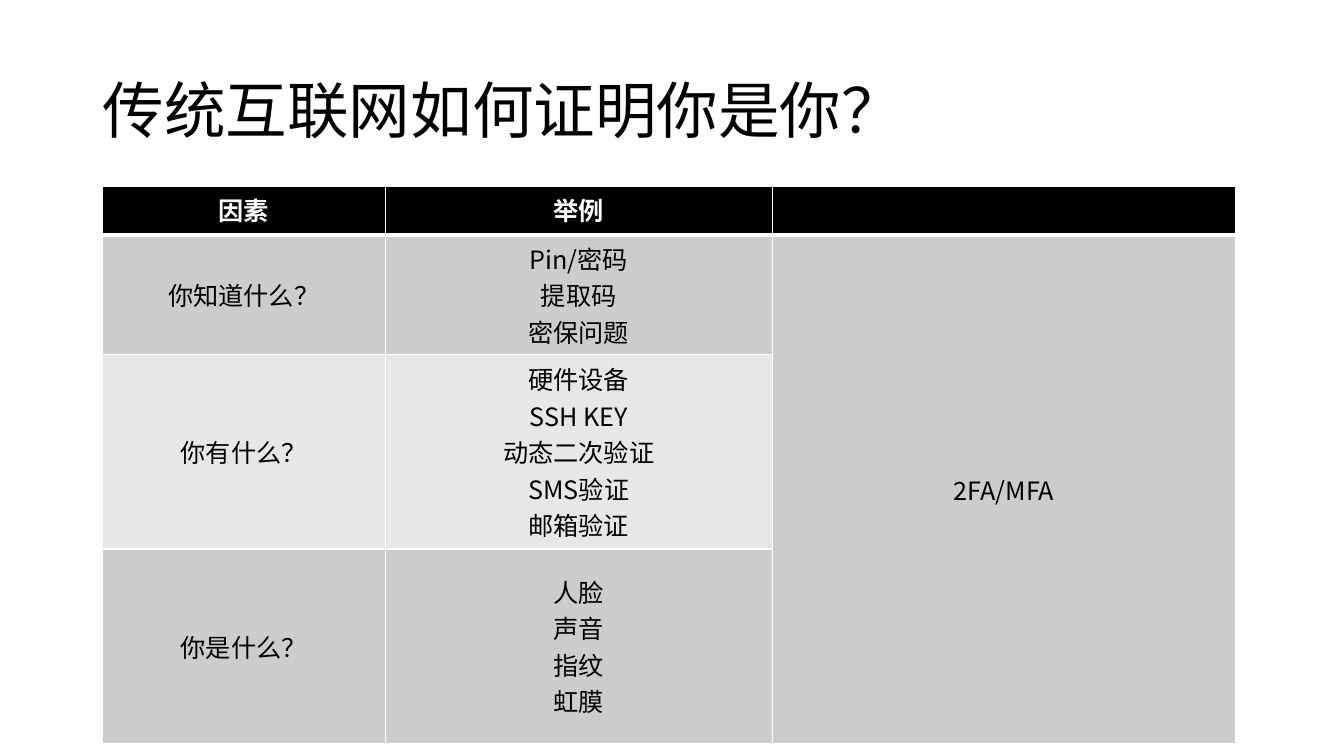
from lxml.etree import SubElement
from pptx import Presentation
from pptx.dml.color import RGBColor
from pptx.enum.text import MSO_ANCHOR as Anchor, PP_ALIGN as Align
from pptx.oxml.ns import qn
from pptx.util import Cm, Pt

# Content
TITLE = "传统互联网如何证明你是你？"
HEADER = ["因素", "举例", ""]
FACTORS = [
    ("你知道什么？", ["Pin/密码", "提取码", "密保问题"]),
    ("你有什么？", ["硬件设备", "SSH KEY", "动态二次验证", "SMS验证", "邮箱验证"]),
    ("你是什么？", ["人脸", "声音", "指纹", "虹膜"]),
]
SUMMARY = "2FA/MFA"

# Look
FONT = "Noto Sans CJK SC"
BLACK = RGBColor(0x00, 0x00, 0x00)
WHITE = RGBColor(0xFF, 0xFF, 0xFF)
DARK_BAND = RGBColor(0xCC, 0xCC, 0xCC)
LIGHT_BAND = RGBColor(0xE7, 0xE7, 0xE7)
COLUMN_WIDTHS = [Cm(7.14), Cm(9.75), Cm(11.68)]
ROW_HEIGHTS = [Cm(1.22), Cm(1.24), Cm(4.9), Cm(4.9)]


def write(frame, lines, size=18, color=BLACK, bold=False, align=Align.CENTER, spacing=None):
    """Fill a text frame with one paragraph per line."""
    for index, line in enumerate(lines):
        para = frame.paragraphs[0] if index == 0 else frame.add_paragraph()
        para.alignment = align
        if spacing:
            para.line_spacing = spacing
        span = para.add_run()
        span.text = line
        span.font.size = Pt(size)
        span.font.bold = bold
        span.font.name = FONT
        span.font.color.rgb = color
        SubElement(span.font._element, qn("a:ea"), typeface=FONT)


def set_borders(cell, **widths):
    """Draw white cell borders; widths are points for L, R, T and B."""
    properties = cell._tc.get_or_add_tcPr()
    for side in "LRTB":
        line = SubElement(properties, qn(f"a:ln{side}"), w=str(Pt(widths.get(side, 1))))
        fill = SubElement(line, qn("a:solidFill"))
        SubElement(fill, qn("a:srgbClr"), val=str(WHITE))


deck = Presentation()
deck.slide_width, deck.slide_height = Cm(33.87), Cm(19.05)
page = deck.slides.add_slide(deck.slide_layouts[5])

# Title
title = page.shapes.title
title.left, title.top, title.width, title.height = Cm(2.33), Cm(1.01), Cm(29.21), Cm(3.68)
title.text_frame.vertical_anchor = Anchor.MIDDLE
write(title.text_frame, [TITLE], size=44, align=Align.LEFT, spacing=0.9)

# Table grid
table = page.shapes.add_table(
    len(ROW_HEIGHTS), len(COLUMN_WIDTHS), Cm(2.57), Cm(4.7),
    sum(COLUMN_WIDTHS), sum(ROW_HEIGHTS)).table
for column, width in zip(table.columns, COLUMN_WIDTHS):
    column.width = width
for row, height in zip(table.rows, ROW_HEIGHTS):
    row.height = height

# Borders and bands
for number, row in enumerate(table.rows):
    for cell in row.cells:
        set_borders(cell, T=3 if number == 1 else 1, B=3 if number == 0 else 1)
        cell.fill.solid()
        cell.fill.fore_color.rgb = BLACK if number == 0 else DARK_BAND if number % 2 else LIGHT_BAND
        cell.vertical_anchor = Anchor.MIDDLE if number else Anchor.TOP

# Cell text
for column, heading in enumerate(HEADER):
    if heading:
        write(table.cell(0, column).text_frame, [heading], color=WHITE, bold=True)
for number, (factor, examples) in enumerate(FACTORS, start=1):
    write(table.cell(number, 0).text_frame, [factor])
    write(table.cell(number, 1).text_frame, examples)
table.cell(1, 2).merge(table.cell(len(FACTORS), 2))
write(table.cell(1, 2).text_frame, [SUMMARY])

deck.save("out.pptx")
